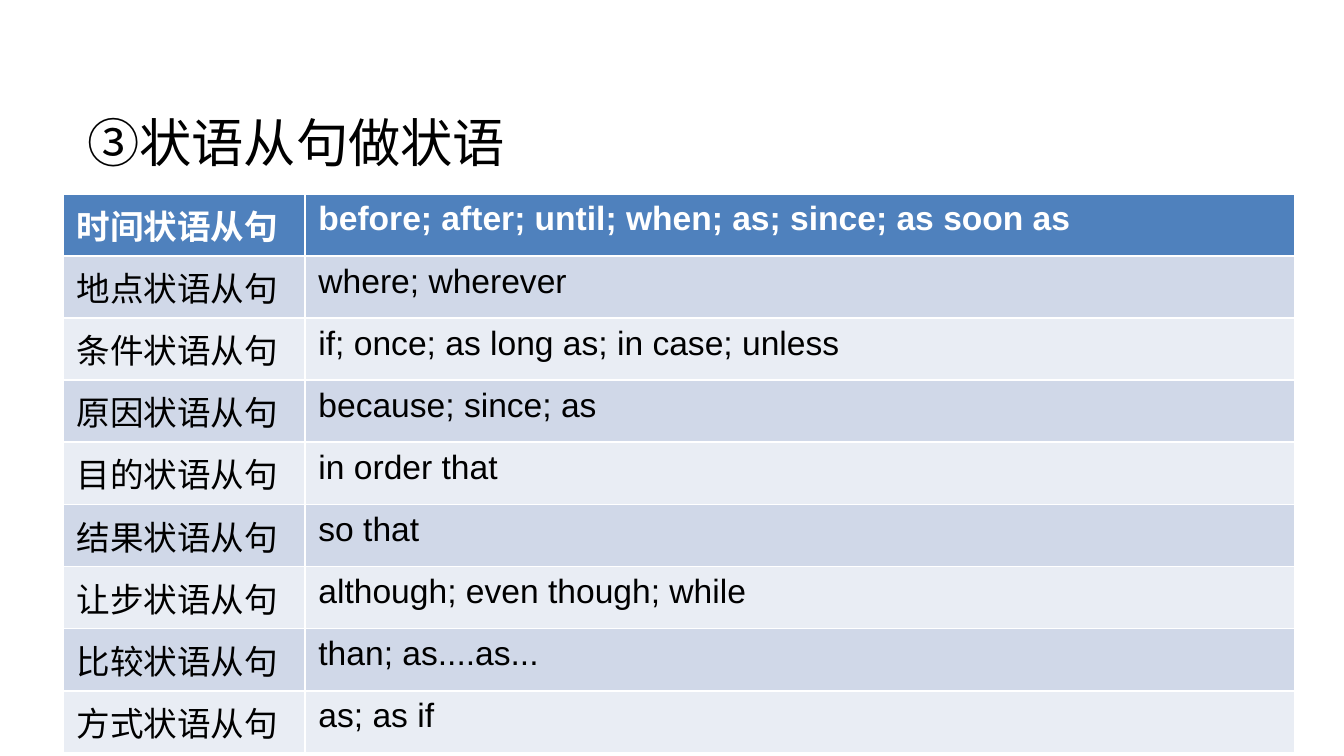
from typing import NamedTuple

from pptx import Presentation
from pptx.dml.color import RGBColor
from pptx.enum.text import MSO_ANCHOR, MSO_AUTO_SIZE, PP_ALIGN
from pptx.util import Pt

LEFT = PP_ALIGN.LEFT
TOP = MSO_ANCHOR.TOP
MIDDLE = MSO_ANCHOR.MIDDLE
NO_FIT = MSO_AUTO_SIZE.NONE

HEADER_FILL = "4F81BD"
BAND_FILLS = ("E9EDF4", "D0D8E8")
ROW_HEIGHT = 31.5
COLUMN_WIDTHS = (129.6, 530.3)


class Clause(NamedTuple):
    kind: str
    conjunctions: str


CLAUSES = [
    Clause("时间状语从句", "before; after; until; when; as; since; as soon as"),
    Clause("地点状语从句", "where; wherever"),
    Clause("条件状语从句", "if; once; as long as; in case; unless"),
    Clause("原因状语从句", "because; since; as"),
    Clause("目的状语从句", "in order that"),
    Clause("结果状语从句", "so that"),
    Clause("让步状语从句", "although; even though; while"),
    Clause("比较状语从句", "than; as....as..."),
    Clause("方式状语从句", "as; as if"),
]


def color(value: str) -> RGBColor:
    return RGBColor.from_string(value)


def set_font(p, name: str, size: float, hex_color: str, bold: bool = False) -> None:
    p.alignment = LEFT
    p.font.name = name
    p.font.size = Pt(size)
    p.font.bold = bold
    p.font.color.rgb = color(hex_color)


def add_title(slide, text: str) -> None:
    sp = slide.shapes.title
    sp.left, sp.top, sp.width, sp.height = Pt(39.6), Pt(56.2), Pt(422), Pt(39.6)
    tf = sp.text_frame
    tf.text = text
    tf.word_wrap = True
    tf.auto_size = NO_FIT
    tf.vertical_anchor = MIDDLE
    set_font(tf.paragraphs[0], "Comic Neue", 28, "000000")


def add_clause_table(slide, clauses: list[Clause]) -> None:
    table = slide.shapes.add_table(
        len(clauses), len(COLUMN_WIDTHS), Pt(33.8), Pt(103.8),
        Pt(sum(COLUMN_WIDTHS)), Pt(ROW_HEIGHT * len(clauses)),
    ).table
    for column, width in zip(table.columns, COLUMN_WIDTHS):
        column.width = Pt(width)
    for i, clause in enumerate(clauses):
        header = i == 0
        for j, text in enumerate(clause):
            cell = table.cell(i, j)
            cell.text = text
            cell.vertical_anchor = TOP
            cell.fill.solid()
            cell.fill.fore_color.rgb = color(HEADER_FILL if header else BAND_FILLS[i % 2])
            set_font(cell.text_frame.paragraphs[0], "Arial", 18,
                     "FFFFFF" if header else "000000", header)


def main() -> None:
    prs = Presentation()
    prs.slide_width, prs.slide_height = Pt(720), Pt(405)
    slide = prs.slides.add_slide(prs.slide_layouts[5])
    add_title(slide, "③状语从句做状语")
    add_clause_table(slide, CLAUSES)
    prs.save("out.pptx")


if __name__ == "__main__":
    main()
